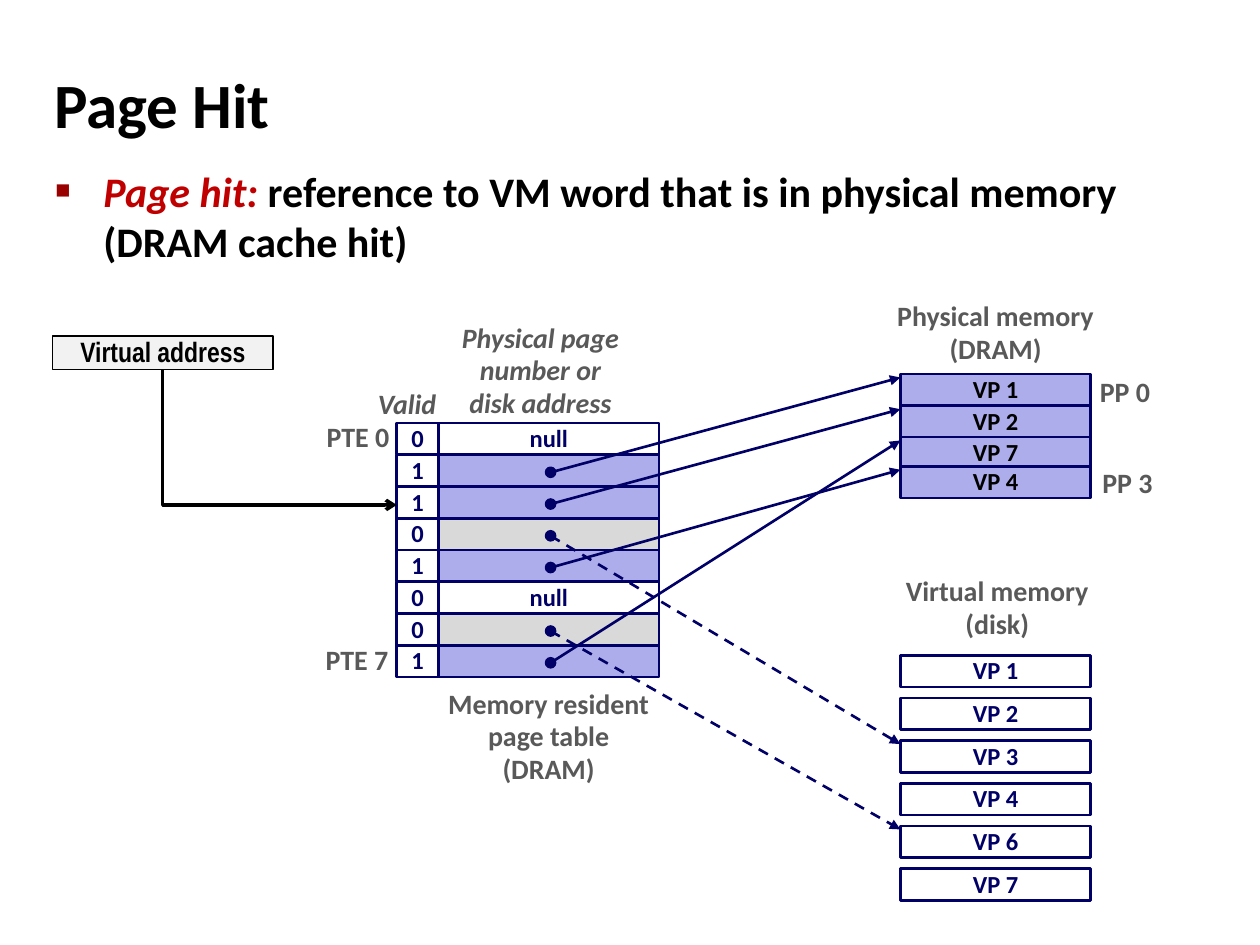
"""Build the Page Hit slide: a page table pointing into memory and disk."""
from lxml import etree
from pptx import Presentation
from pptx.dml.color import RGBColor
from pptx.enum.dml import MSO_LINE
from pptx.enum.shapes import MSO_CONNECTOR, MSO_SHAPE
from pptx.enum.text import MSO_ANCHOR, MSO_AUTO_SIZE, PP_ALIGN
from pptx.oxml.ns import qn
from pptx.util import Cm, Pt

RECTANGLE, OVAL = MSO_SHAPE.RECTANGLE, MSO_SHAPE.OVAL
STRAIGHT, ELBOW = MSO_CONNECTOR.STRAIGHT, MSO_CONNECTOR.ELBOW
LEFT, CENTER, RIGHT = PP_ALIGN.LEFT, PP_ALIGN.CENTER, PP_ALIGN.RIGHT
TOP, MIDDLE = MSO_ANCHOR.TOP, MSO_ANCHOR.MIDDLE
FIXED, GROW = MSO_AUTO_SIZE.NONE, MSO_AUTO_SIZE.SHAPE_TO_FIT_TEXT
DASH = MSO_LINE.DASH

COLORS = {
    "black": "000000", "white": "FFFFFF", "navy": "000066", "lilac": "ADADEB",
    "gray": "D9D9D9", "pale": "F2F2F2", "label": "595959", "red": "C00000",
    "bullet": "990000",
}

ROW_HEIGHT = 0.64
TABLE_LEFT, TABLE_TOP = 8, 8.53
VALID_WIDTH, ENTRY_WIDTH = 0.84, 4.45
ENTRY_LEFT = TABLE_LEFT + VALID_WIDTH
DOT_X, DOT_SIZE = 11.1, 0.2
PAGE_LEFT, PAGE_WIDTH = 18.15, 3.84
DISK_TOP, DISK_STEP = 13.21, 0.86

DRAM_PAGES = {"VP 1": 7.54, "VP 2": 8.18, "VP 7": 8.81, "VP 4": 9.4}
DISK_PAGES = {
    name: DISK_TOP + index * DISK_STEP
    for index, name in enumerate(["VP 1", "VP 2", "VP 3", "VP 4", "VP 6", "VP 7"])
}
PAGE_TABLE = [
    ("0", None), ("1", "VP 1"), ("1", "VP 2"), ("0", "VP 3"),
    ("1", "VP 4"), ("0", None), ("0", "VP 6"), ("1", "VP 7"),
]
LABELS = [
    ("Memory resident\npage table\n(DRAM)", (8.71, 13.74, 4.7, 2.26), {}),
    ("Physical memory\n(DRAM)", (17.81, 5.92, 4.52, 1.6), {}),
    ("Virtual memory\n(disk)", (17.96, 11.48, 4.29, 1.6), {}),
    ("Valid", (7.37, 7.7, 1.9, 0.94), {"align": LEFT, "italic": True}),
    ("Physical page\nnumber or\ndisk address", (9.04, 6.35, 3.71, 2.26),
     {"anchor": MIDDLE, "italic": True}),
    ("PTE 0", (6.32, 8.36, 1.78, 0.94), {"anchor": MIDDLE, "align": RIGHT}),
    ("PTE 7", (6.3, 12.85, 1.78, 0.94), {"anchor": MIDDLE, "align": RIGHT}),
    ("PP 0", (21.92, 7.44, 1.52, 0.94), {"anchor": MIDDLE}),
    ("PP 3", (21.97, 9.27, 1.52, 0.94), {"anchor": MIDDLE}),
]


def add_span(para, text, *, size=14, color="black", font="Calibri", italic=False):
    """Append a bold, formatted span to a paragraph."""
    span = para.add_run()
    span.text = text
    span.font.name = font
    span.font.size = Pt(size)
    span.font.bold = True
    span.font.italic = italic
    span.font.color.rgb = RGBColor.from_string(COLORS[color])


class SlideBuilder:
    """Holds the shared style and the current slide."""

    def __init__(self, page):
        """Start on the given slide."""
        self.page = page
        self.line_spacing = 0.98
        self.line_width = 1.5

    def place(self, box, area):
        """Move a placeholder and fix its size."""
        box.left, box.top, box.width, box.height = map(Cm, area)
        box.text_frame.auto_size = FIXED

    def title(self, text, area):
        """Fill the title placeholder."""
        box = self.page.shapes.title
        self.place(box, area)
        box.text_frame.vertical_anchor = MIDDLE
        para = box.text_frame.paragraphs[0]
        para.alignment = LEFT
        add_span(para, text, size=36)

    def bullet(self, spans, area):
        """Fill the body placeholder with one bulleted paragraph."""
        box = self.page.placeholders[1]
        self.place(box, area)
        para = box.text_frame.paragraphs[0]
        properties = para._p.get_or_add_pPr()
        properties.set("marL", str(Cm(0.97)))
        properties.set("indent", str(Cm(-0.97)))
        color = etree.SubElement(properties, qn("a:buClr"))
        etree.SubElement(color, qn("a:srgbClr"), val=COLORS["bullet"])
        etree.SubElement(properties, qn("a:buSzPct"), val="60000")
        etree.SubElement(properties, qn("a:buChar"), char="■")
        para.space_before = Pt(0)
        for text, style in spans:
            add_span(para, text, size=24, **style)

    def lines(self, box, text, align=CENTER, **style):
        """Write one paragraph per line of text, without wrapping."""
        frame = box.text_frame
        frame.word_wrap = False
        for index, line in enumerate(text.split("\n")):
            para = frame.add_paragraph() if index else frame.paragraphs[0]
            para.alignment = align
            para.line_spacing = self.line_spacing
            add_span(para, line, **style)

    def label(self, text, area, anchor=TOP, **style):
        """Add a free-standing caption."""
        box = self.page.shapes.add_textbox(*map(Cm, area))
        box.text_frame.auto_size = GROW
        box.text_frame.vertical_anchor = anchor
        self.lines(box, text, size=16, color="label", **style)

    def shape(self, kind, area, fill=None, line="navy", width=None, text="", **style):
        """Add a preset shape with optional text."""
        box = self.page.shapes.add_shape(kind, *map(Cm, area))
        box.shadow.inherit = False
        if fill:
            box.fill.solid()
            box.fill.fore_color.rgb = RGBColor.from_string(COLORS[fill])
        else:
            box.fill.background()
        box.line.color.rgb = RGBColor.from_string(COLORS[line])
        box.line.width = Pt(width or self.line_width)
        box.text_frame.vertical_anchor = MIDDLE
        if text:
            self.lines(box, text, **style)

    def arrow(self, start, end, kind=STRAIGHT, color="navy", width=None,
              dashed=False, head="triangle"):
        """Add a connector with an arrowhead at its end."""
        link = self.page.shapes.add_connector(kind, *map(Cm, start + end))
        link.line.color.rgb = RGBColor.from_string(COLORS[color])
        link.line.width = Pt(width or self.line_width)
        if dashed:
            link.line.dash_style = DASH
        etree.SubElement(link.line._get_or_add_ln(), qn("a:tailEnd"), type=head)
        etree.SubElement(link._element.spPr, qn("a:effectLst"))
        return link

    def corner_arrow(self, start, end, **style):
        """Add an arrow that goes down and then right."""
        middle_x, middle_y = (start[0] + end[0]) / 2, (start[1] + end[1]) / 2
        half_x, half_y = (end[1] - start[1]) / 2, (end[0] - start[0]) / 2
        link = self.arrow((middle_x + half_x, middle_y - half_y),
                          (middle_x - half_x, middle_y + half_y), kind=ELBOW, **style)
        properties = link._element.spPr
        properties.find(qn("a:xfrm")).set("rot", "16200000")
        properties.find(qn("a:prstGeom")).set("prst", "bentConnector2")


def main():
    """Build and save the deck."""
    deck = Presentation()
    deck.slide_width, deck.slide_height = Cm(25.4), Cm(19.05)
    builder = SlideBuilder(deck.slides.add_slide(deck.slide_layouts[1]))

    builder.title("Page Hit", (0.84, 0.99, 23.01, 2.18))
    builder.bullet([
        ("Page hit: ", {"color": "red", "italic": True}),
        ("reference to VM word that is in physical memory (DRAM cache hit)", {}),
    ], (0.86, 3.2, 23.09, 1.68))

    for pages, fill, color in ((DRAM_PAGES, "lilac", "black"), (DISK_PAGES, "white", "navy")):
        for name, top in pages.items():
            builder.shape(RECTANGLE, (PAGE_LEFT, top, PAGE_WIDTH, ROW_HEIGHT),
                          fill, text=name, color=color)

    for row, (valid, target) in enumerate(PAGE_TABLE):
        top = TABLE_TOP + row * ROW_HEIGHT
        fill = "white" if target is None else "lilac" if valid == "1" else "gray"
        builder.shape(RECTANGLE, (ENTRY_LEFT, top, ENTRY_WIDTH, ROW_HEIGHT), fill,
                      text="" if target else "null", color="navy")
        builder.shape(RECTANGLE, (TABLE_LEFT, top, VALID_WIDTH, ROW_HEIGHT),
                      text=valid, color="navy")

    for row, (valid, target) in enumerate(PAGE_TABLE):
        if target:
            dot_y = TABLE_TOP + (row + 0.55) * ROW_HEIGHT
            pages = DRAM_PAGES if valid == "1" else DISK_PAGES
            builder.shape(OVAL, (DOT_X - DOT_SIZE / 2, dot_y - DOT_SIZE / 2, DOT_SIZE, DOT_SIZE),
                          "navy", width=1)
            builder.arrow((DOT_X, dot_y), (PAGE_LEFT, pages[target] + 0.07), dashed=valid == "0")

    for text, area, style in LABELS:
        builder.label(text, area, **style)

    builder.shape(RECTANGLE, (1.06, 6.77, 4.45, 0.68), "pale", "black", 1,
                  text="Virtual address", size=16, font="Arial Narrow")
    builder.corner_arrow((3.28, 7.45), (TABLE_LEFT, 10.18), color="black", width=2, head="arrow")
    deck.save("out.pptx")


if __name__ == "__main__":
    main()
